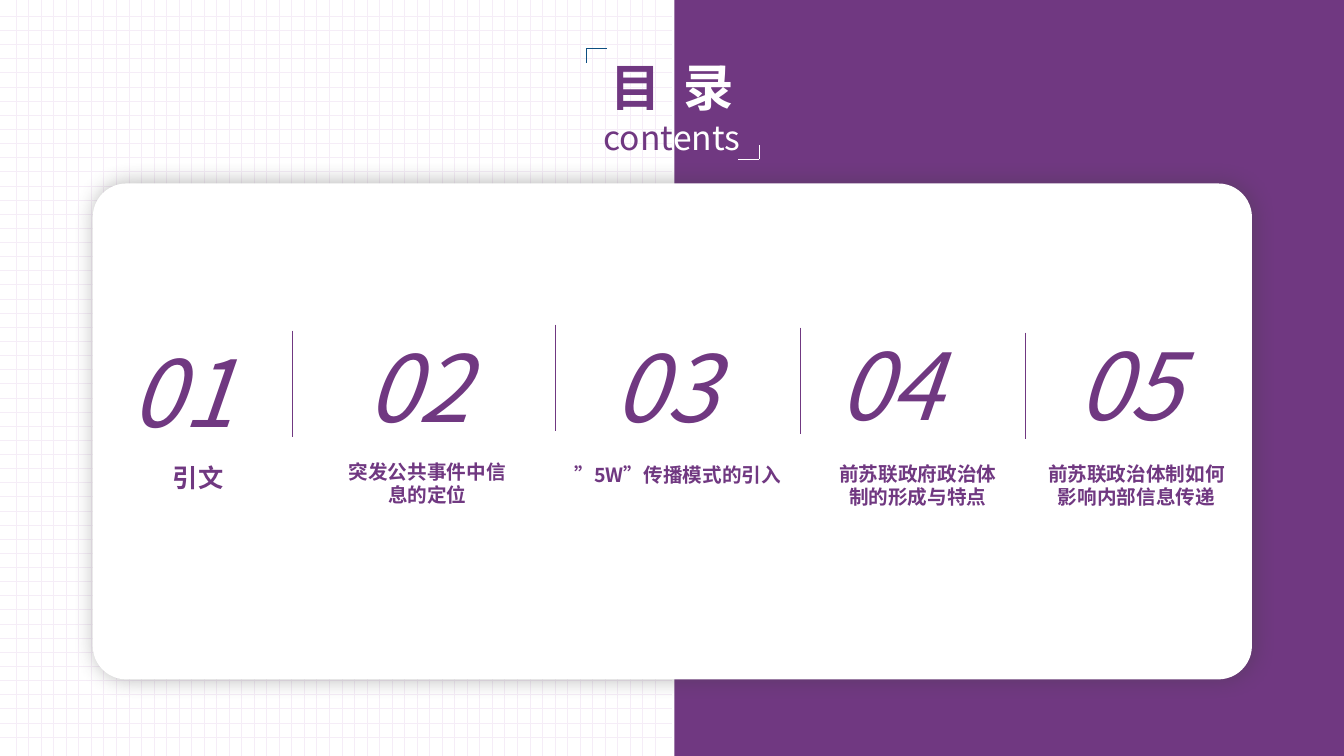
from lxml import etree
from pptx import Presentation
from pptx import util as u
from pptx.dml.color import RGBColor
from pptx.enum import shapes, text
from pptx.oxml.ns import qn

COLORS = {"purple": "703881", "white": "FFFFFF", "grid": "F5EDF7", "blue": "0D4E81", "shade": "404040"}
FONT = "Noto Sans CJK SC"

deck = Presentation()
deck.slide_width, deck.slide_height = u.Inches(13.33), u.Inches(7.5)
slide = deck.slides.add_slide(deck.slide_layouts[6])


def place(*shares):
    sides = (deck.slide_width, deck.slide_height) * 2
    return [round(side * share / 100) for side, share in zip(sides, shares)]


def write(paragraph, words, color, **format):
    run = paragraph.add_run()
    run.text = words
    for key, value in {"name": FONT, **format}.items():
        setattr(run.font, key, value)
    run.font.color.rgb = RGBColor.from_string(COLORS[color])
    etree.SubElement(run.font._element, qn("a:ea"), typeface=FONT)
    return run


ROWS, COLUMNS = 52, 52
row_gap = (97.47 - 2.13) / (ROWS - 1)
column_gap = (48.75 - 1.2) / (COLUMNS - 1)
grid = [((0, 2.13 + row * row_gap, 50, 2.13 + row * row_gap), "grid", 0.25) for row in range(ROWS)]
grid += [((1.2 + column * column_gap, 0, 1.2 + column * column_gap, 100), "grid", 0.5) for column in range(COLUMNS)]
corners = [
    ((43.65, 6.4, 45.15, 6.4), "blue", 0.5),
    ((43.65, 6.4, 43.65, 8.4), "blue", 0.5),
    ((56.48, 21.07, 54.9, 21.07), "white", 0.5),
    ((56.48, 21.07, 56.48, 19.2), "white", 0.5),
]
dividers = [((x, y, x, y + 14.13), "purple", 0.5)
            for x, y in [(21.75, 43.73), (41.33, 42.93), (59.55, 43.33), (76.28, 44)]]

panels = [
    (shapes.MSO_SHAPE.RECTANGLE, (50.18, 0, 50, 100), "purple"),
    (shapes.MSO_SHAPE.ROUNDED_RECTANGLE, (6.9, 24.27, 86.25, 65.6), "white"),
]

for lines in (grid, panels, corners + dividers):
    for kind, area, look in lines:
        if lines is panels:
            panel = slide.shapes.add_shape(kind, *place(*area))
            panel.fill.solid()
            panel.fill.fore_color.rgb = RGBColor.from_string(COLORS[look])
            panel.line.fill.background()
            panel.shadow.inherit = False
        else:
            line = slide.shapes.add_connector(shapes.MSO_CONNECTOR.STRAIGHT, *place(*kind))
            line.line.color.rgb = RGBColor.from_string(COLORS[area])
            line.line.width = u.Pt(look)
            etree.SubElement(line._element.spPr, qn("a:effectLst"))

card = panel
card.adjustments[0] = 0.068
shadow = etree.SubElement(card._element.spPr.find(qn("a:effectLst")), qn("a:outerShdw"),
                          blurRad=str(u.Pt(15)), dist=str(u.Pt(2)), dir="0", algn="ctr", rotWithShape="0")
shade = etree.SubElement(shadow, qn("a:srgbClr"), val=COLORS["shade"])
etree.SubElement(shade, qn("a:alpha"), val="40000")

heading = [
    ([("目 ", "purple"), ("录", "white")], {"size": u.Pt(36), "bold": True}),
    ([("cont", "purple"), ("ents", "white")], {"size": u.Pt(24)}),
]
title = slide.shapes.add_textbox(*place(34.2, 6.8, 31.58, 14.8)).text_frame
title.word_wrap = True
title.add_paragraph()
for paragraph, (parts, format) in zip(title.paragraphs, heading):
    paragraph.alignment = text.PP_ALIGN.CENTER
    for words, color in parts:
        run = write(paragraph, words, color, **format)
        if words == "目 ":
            run.font._element.set("spc", "400")

chapters = [
    ("引文", 18, (9, 43.73, 16.35, 16.13), (2.33, 60.53, 24.83, 5.33)),
    ("突发公共事件中信息的定位", 14, (26.55, 43.07, 16.35, 16.13), (24.6, 60.13, 14.4, 7.6)),
    ("”5W”传播模式的引入", 14, (44.93, 43.07, 10.13, 16.13), (38.03, 60.53, 24.83, 4.53)),
    ("前苏联政府政治体制的形成与特点", 14, (61.65, 42.8, 16.35, 16.13), (61.13, 60.4, 14.33, 7.6)),
    ("前苏联政治体制如何影响内部信息传递", 14, (79.43, 42.8, 16.35, 16.13), (76.8, 60.4, 15.53, 7.6)),
]
for number, (topic, size, number_area, topic_area) in enumerate(chapters, 1):
    entries = [
        (f"{number:02}", number_area, text.PP_ALIGN.LEFT, {"size": u.Pt(66), "italic": True}),
        (topic, topic_area, text.PP_ALIGN.CENTER, {"size": u.Pt(size), "bold": True}),
    ]
    for words, area, alignment, format in entries:
        frame = slide.shapes.add_textbox(*place(*area)).text_frame
        frame.word_wrap = True
        frame.paragraphs[0].alignment = alignment
        write(frame.paragraphs[0], words, "purple", **format)

deck.save("out.pptx")
